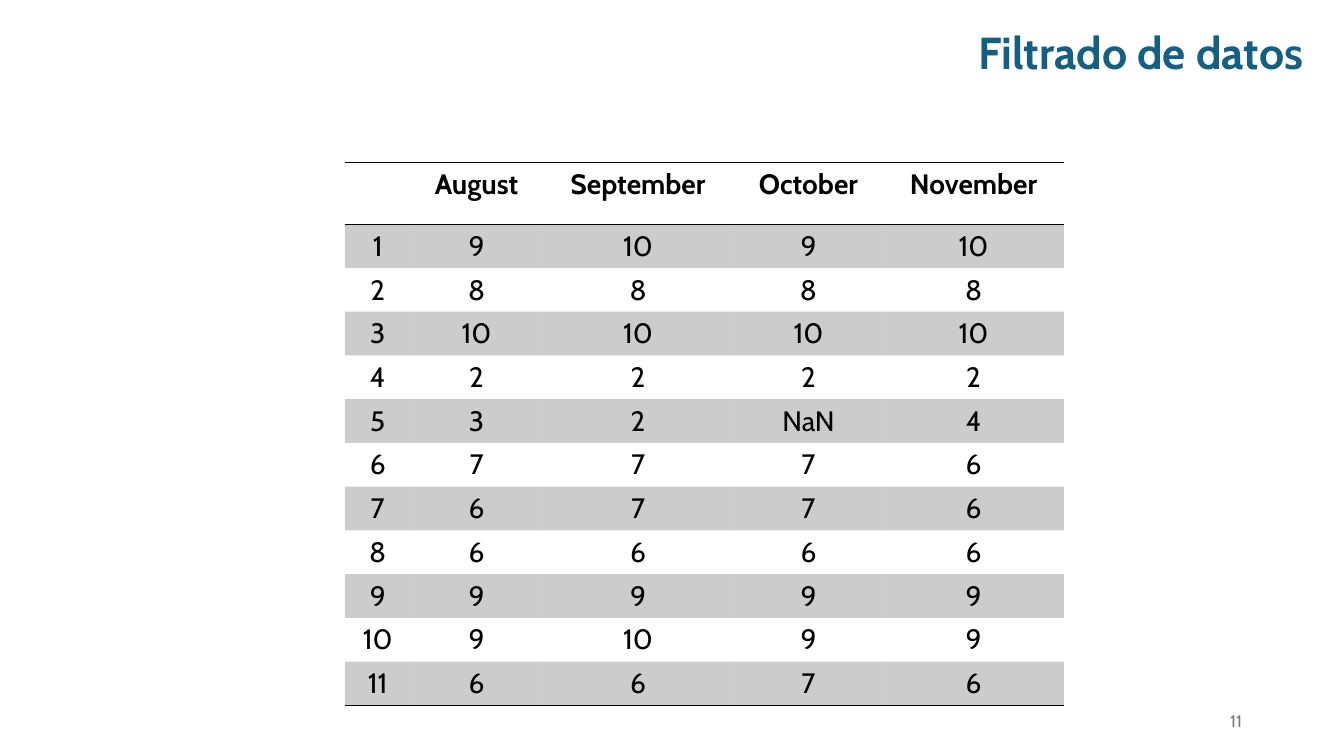
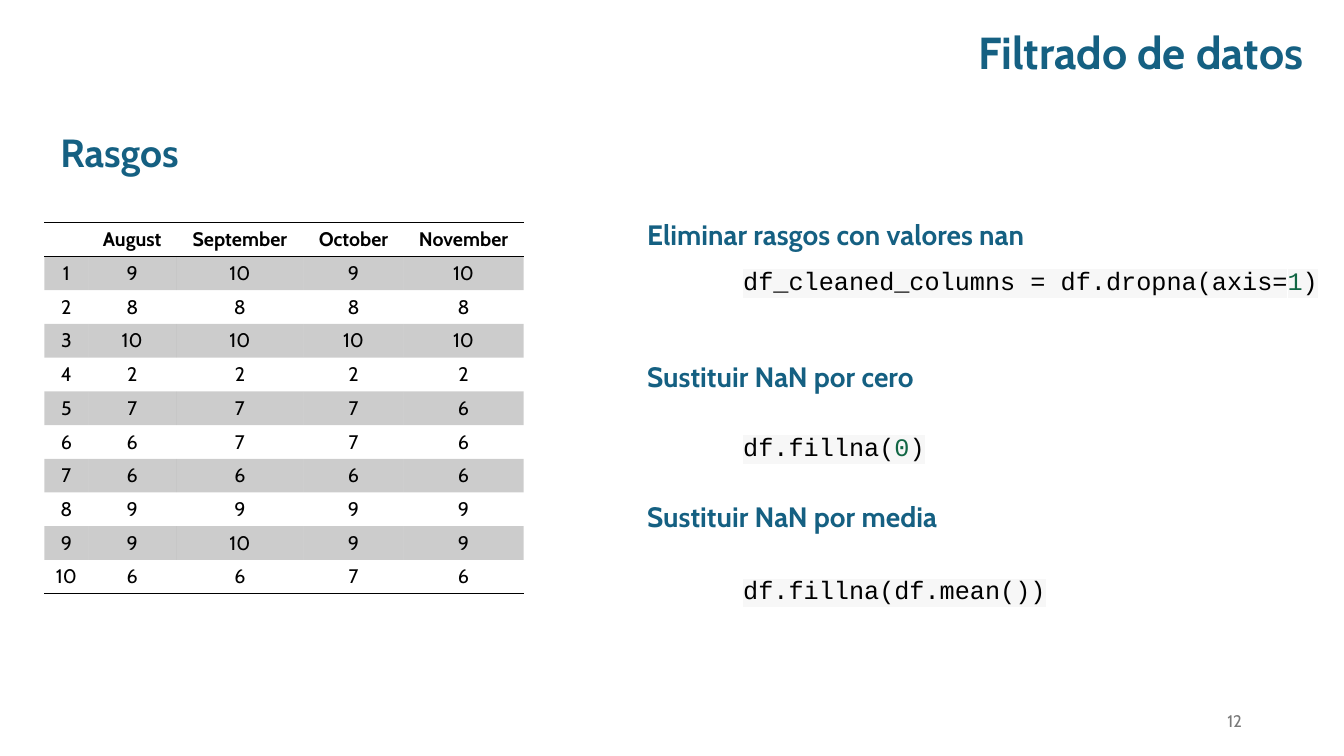
from lxml import etree
from pptx import Presentation
from pptx.dml.color import RGBColor
from pptx.enum.text import MSO_ANCHOR, PP_ALIGN
from pptx.oxml.ns import qn
from pptx.util import Cm, Pt

LEFT, CENTER, RIGHT = PP_ALIGN.LEFT, PP_ALIGN.CENTER, PP_ALIGN.RIGHT
TOP, MIDDLE = MSO_ANCHOR.TOP, MSO_ANCHOR.MIDDLE

BLUE = RGBColor(0x15, 0x60, 0x82)
BLACK = RGBColor(0x00, 0x00, 0x00)
GRAY = RGBColor(0x79, 0x79, 0x79)
GREEN = RGBColor(0x11, 0x66, 0x44)
CODE_BACK = RGBColor(0xF7, 0xF7, 0xF7)

FONT = "Cabin"
CODE_FONT = "Courier New"
PLAIN_TABLE = "{2D5ABB26-0587-4C30-8999-92F81FD0307C}"
BAND_ALPHA = 20

MONTHS = ["August", "September", "October", "November"]
GRADES = [
    (9, 10, 9, 10),
    (8, 8, 8, 8),
    (10, 10, 10, 10),
    (2, 2, 2, 2),
    (3, 2, "NaN", 4),
    (7, 7, 7, 6),
    (6, 7, 7, 6),
    (6, 6, 6, 6),
    (9, 9, 9, 9),
    (9, 10, 9, 9),
    (6, 6, 7, 6),
]
COLUMN_WIDTHS = [1.66, 3.32, 4.82, 3.77, 4.55]

EXAMPLES = [
    ("Eliminar rasgos con valores nan", 5.36, 6.55,
     [("df_cleaned_columns = df.dropna(axis=", BLACK), ("1", GREEN), (")", BLACK)]),
    ("Sustituir NaN por cero", 8.94, 10.74,
     [("df.fillna(", BLACK), ("0", GREEN), (")", BLACK)]),
    ("Sustituir NaN por media", 12.45, 14.35,
     [("df.fillna(df.mean())", BLACK)]),
]


def add_run(p, text, size=20, color=BLACK, bold=False, font=FONT, highlight=None):
    r = p.add_run()
    r.text = text
    r.font.size = Pt(size)
    r.font.name = font
    r.font.bold = bold
    r.font.color.rgb = color
    if highlight is not None:
        mark = etree.Element(qn("a:highlight"))
        etree.SubElement(mark, qn("a:srgbClr"), val=str(highlight))
        r.font.fill
        r._r.get_or_add_rPr().find(qn("a:solidFill")).addnext(mark)


def add_box(slide, left, top, width, height, align=LEFT, anchor=TOP):
    sp = slide.shapes.add_textbox(Cm(left), Cm(top), Cm(width), Cm(height))
    tf = sp.text_frame
    tf.word_wrap = True
    tf.vertical_anchor = anchor
    p = tf.paragraphs[0]
    p.alignment = align
    return p


def add_code(slide, left, top, parts):
    p = add_box(slide, left, top, 15.3, 1.02)
    for text, color in parts:
        add_run(p, text, size=18, color=color, font=CODE_FONT, highlight=CODE_BACK)


def add_slide(prs, number):
    slide = prs.slides.add_slide(prs.slide_layouts[6])
    p = add_box(slide, 14, 0.5, 19.1, 1.63, align=RIGHT)
    add_run(p, "Filtrado de datos", size=32, color=BLUE, bold=True)
    p = add_box(slide, 23.93, 17.65, 7.62, 1.02, align=RIGHT, anchor=MIDDLE)
    add_run(p, str(number), size=12, color=GRAY)
    return slide


def set_borders(cell, sides):
    tcPr = cell._tc.get_or_add_tcPr()
    for i, side in enumerate(sides):
        ln = etree.Element(qn(f"a:ln{side}"), w=str(Pt(1)))
        fill = etree.SubElement(ln, qn("a:solidFill"))
        etree.SubElement(fill, qn("a:srgbClr"), val=str(BLACK))
        tcPr.insert(i, ln)


def set_band(cell, banded):
    if not banded:
        cell.fill.background()
        return
    cell.fill.solid()
    cell.fill.fore_color.rgb = BLACK
    color = cell._tc.tcPr.find(qn("a:solidFill")).find(qn("a:srgbClr"))
    etree.SubElement(color, qn("a:alpha"), val=str(BAND_ALPHA * 1000))


def fill_cell(cell, text, size, bold):
    p = cell.text_frame.paragraphs[0]
    p.alignment = CENTER
    if text:
        add_run(p, text, size=size, bold=bold)
    else:
        etree.SubElement(p._p, qn("a:endParaRPr"), sz=str(size * 100))


def add_grades(slide, left, top, grades, size, header_height, row_height, scale=1):
    rows = [["", *MONTHS]] + [[n, *row] for n, row in enumerate(grades, 1)]
    widths = [Cm(w * scale) for w in COLUMN_WIDTHS]
    heights = [Cm(header_height)] + [Cm(row_height)] * len(grades)
    table = slide.shapes.add_table(len(rows), len(widths), Cm(left), Cm(top),
                                   sum(widths), sum(heights)).table
    table.first_row = table.horz_banding = False
    table._tbl.tblPr.find(qn("a:tableStyleId")).text = PLAIN_TABLE
    for column, width in zip(table.columns, widths):
        column.width = width
    for i, values in enumerate(rows):
        table.rows[i].height = heights[i]
        sides = "TB" if i == 0 else "B" if i == len(grades) else ""
        for j, value in enumerate(values):
            cell = table.cell(i, j)
            fill_cell(cell, str(value), size, bold=i == 0)
            set_band(cell, i % 2 == 1)
            set_borders(cell, sides)


def build_data_slide(prs):
    slide = add_slide(prs, 11)
    add_grades(slide, 8.69, 4.09, GRADES, 20, 1.56, 1.1)


def build_features_slide(prs):
    slide = add_slide(prs, 12)
    p = add_box(slide, 1.27, 3.12, 3.94, 1.45)
    add_run(p, "Rasgos", size=28, color=BLUE, bold=True)
    for heading, heading_top, code_top, parts in EXAMPLES:
        p = add_box(slide, 16.06, heading_top, 17.2, 1.12)
        add_run(p, heading, color=BLUE, bold=True)
        add_code(slide, 18.48, code_top, parts)
    complete = [row for row in GRADES if "NaN" not in row]
    add_grades(slide, 1.12, 5.61, complete, 14, 0.85, 0.85, scale=2 / 3)


def main():
    prs = Presentation()
    prs.slide_width, prs.slide_height = Cm(33.87), Cm(19.05)
    build_data_slide(prs)
    build_features_slide(prs)
    prs.save("out.pptx")


if __name__ == "__main__":
    main()
